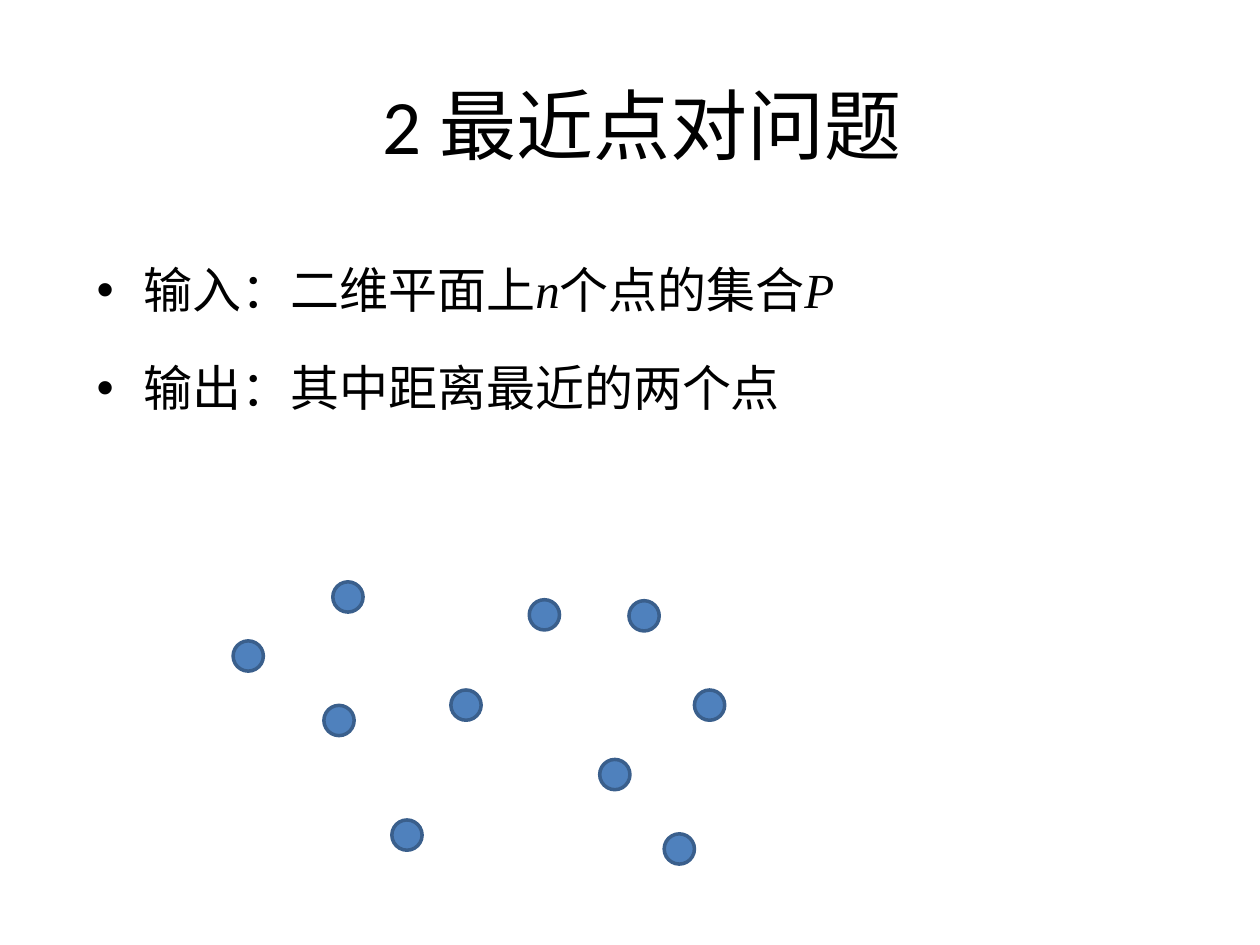
from lxml.etree import SubElement
from pptx import Presentation
from pptx.dml.color import RGBColor
from pptx.enum.shapes import MSO_SHAPE as Shape
from pptx.enum.text import MSO_ANCHOR as Anchor, PP_ALIGN as Align
from pptx.oxml.ns import qn
from pptx.util import Cm, Pt

COLORS = {"text": "000000", "dot": "4F81BD", "dot_line": "3A5F8C"}
CJK_FONT = "Noto Sans CJK SC"
DOT_SIZE = 0.61
BULLET_INDENT = 0.95

TITLE = "2 最近点对问题"
BODY = [
    [
        ("输入：二维平面上", "Times New Roman", False),
        ("n", "Times New Roman", True),
        ("个点的集合", "Times New Roman", False),
        ("P", "Times New Roman", True),
    ],
    [("输出：其中距离最近的两个点", CJK_FONT, False)],
]
POINTS = [
    (0, 1.19), (2.01, 0), (4.39, 2.18), (1.83, 2.49), (5.97, 0.36),
    (8.69, 5.08), (7.39, 3.58), (7.98, 0.38), (9.3, 2.18), (3.2, 4.8),
]


def color(name):
    """Return the named colour."""
    return RGBColor.from_string(COLORS[name])


def add_run(paragraph, text, font_name, size, italic=False):
    """Append a run with its Latin and East Asian fonts."""
    run = paragraph.add_run()
    run.text = text
    run.font.name = font_name
    run.font.size = Pt(size)
    run.font.italic = italic
    run.font.color.rgb = color("text")
    SubElement(run.font._element, qn("a:ea"), typeface=CJK_FONT)


def add_bullet(paragraph):
    """Give the paragraph a hanging bullet."""
    properties = paragraph._p.get_or_add_pPr()
    indent = Cm(BULLET_INDENT)
    properties.set("marL", str(indent))
    properties.set("indent", str(-indent))
    SubElement(properties, qn("a:buFont"), typeface="Arial")
    SubElement(properties, qn("a:buChar"), char="•")


def add_text_frame(slide, left, top, width, height):
    """Add a wrapping text box and return its text frame."""
    box = slide.shapes.add_textbox(Cm(left), Cm(top), Cm(width), Cm(height))
    box.text_frame.word_wrap = True
    return box.text_frame


def add_title(slide, left, top, width, height):
    """Place the centred title."""
    frame = add_text_frame(slide, left, top, width, height)
    frame.vertical_anchor = Anchor.MIDDLE
    paragraph = frame.paragraphs[0]
    paragraph.alignment = Align.CENTER
    add_run(paragraph, TITLE, "Calibri", 44)


def add_body(slide, left, top, width, height):
    """Place the bulleted problem statement."""
    frame = add_text_frame(slide, left, top, width, height)
    for index, runs in enumerate(BODY):
        paragraph = frame.add_paragraph() if index else frame.paragraphs[0]
        paragraph.line_spacing = 1.5
        paragraph.space_before = Pt(5.6)
        add_bullet(paragraph)
        for text, font_name, italic in runs:
            add_run(paragraph, text, font_name, 28, italic)


def add_point_set(slide, left, top):
    """Scatter the points from the given corner."""
    for x, y in POINTS:
        dot = slide.shapes.add_shape(
            Shape.OVAL, Cm(left + x), Cm(top + y), Cm(DOT_SIZE), Cm(DOT_SIZE)
        )
        dot.shadow.inherit = False
        dot.fill.solid()
        dot.fill.fore_color.rgb = color("dot")
        dot.line.color.rgb = color("dot_line")
        dot.line.width = Pt(2)


def main():
    """Build and save the presentation."""
    presentation = Presentation()
    presentation.slide_width = Cm(25.4)
    presentation.slide_height = Cm(19.05)
    slide = presentation.slides.add_slide(presentation.slide_layouts[6])
    add_title(slide, 1.09, 0.91, 23.72, 3.18)
    add_body(slide, 1.7, 4.52, 21.79, 6.4)
    add_point_set(slide, 4.7, 11.73)
    presentation.save("out.pptx")


if __name__ == "__main__":
    main()
